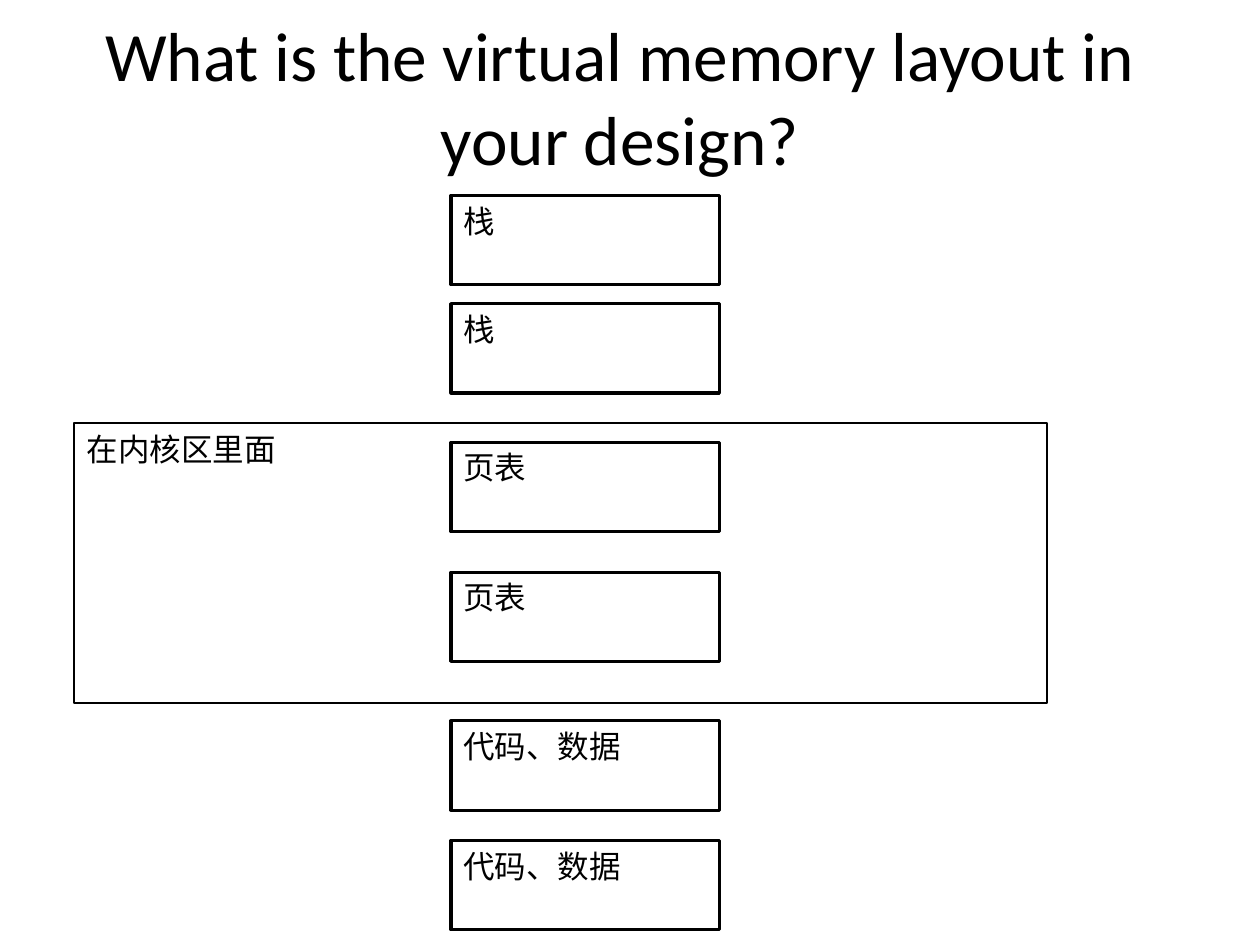
from pptx import Presentation
from pptx.dml.color import RGBColor
from pptx.enum.shapes import MSO_SHAPE
from pptx.enum.text import MSO_ANCHOR, PP_ALIGN
from pptx.util import Inches, Pt

RECT = MSO_SHAPE.RECTANGLE
TOP, MIDDLE = MSO_ANCHOR.TOP, MSO_ANCHOR.MIDDLE
LEFT, CENTER = PP_ALIGN.LEFT, PP_ALIGN.CENTER

SLIDE = (10, 7.5)
INK = "000000"
TITLE = "What is the virtual memory layout in your design?"
TITLE_BOX = (0.67, 0.29, 8.5, 1.61)
TITLE_FORMAT = {"size": Pt(39.6), "name": "Calibri"}
LABEL_FORMAT = {"size": Pt(18), "name": "Calibri"}

SEGMENT_LEFT, SEGMENT_SIZE = 3.58, (2.13, 0.71)
SEGMENTS = [
    ("栈", (1.55, 2.41)),
    ("页表", (3.51, 4.54)),
    ("代码、数据", (5.72, 6.67)),
]
KERNEL = ("在内核区里面", (0.59, 3.36, 7.72, 2.22))


def color(value):
    return RGBColor.from_string(value)


def write(sp, text, font_format, align, anchor):
    tf = sp.text_frame
    tf.word_wrap = True
    tf.vertical_anchor = anchor
    p = tf.paragraphs[0]
    p.alignment = align
    r = p.add_run()
    r.text = text
    for key, value in font_format.items():
        setattr(r.font, key, value)
    r.font.color.rgb = color(INK)


def add_region(text, box, line_width):
    sp = s.shapes.add_shape(RECT, *map(Inches, box))
    sp.shadow.inherit = False
    sp.fill.background()
    sp.line.color.rgb = color(INK)
    sp.line.width = Pt(line_width)
    write(sp, text, LABEL_FORMAT, LEFT, TOP)


prs = Presentation()
prs.slide_width, prs.slide_height = map(Inches, SLIDE)
s = prs.slides.add_slide(prs.slide_layouts[6])

title = s.shapes.add_textbox(*map(Inches, TITLE_BOX))
write(title, TITLE, TITLE_FORMAT, CENTER, MIDDLE)
title.text_frame.margin_bottom = Inches(0.72)

for label, tops in SEGMENTS:
    for top in tops:
        add_region(label, (SEGMENT_LEFT, top, *SEGMENT_SIZE), 1.75)
add_region(*KERNEL, 1)

prs.save("out.pptx")
